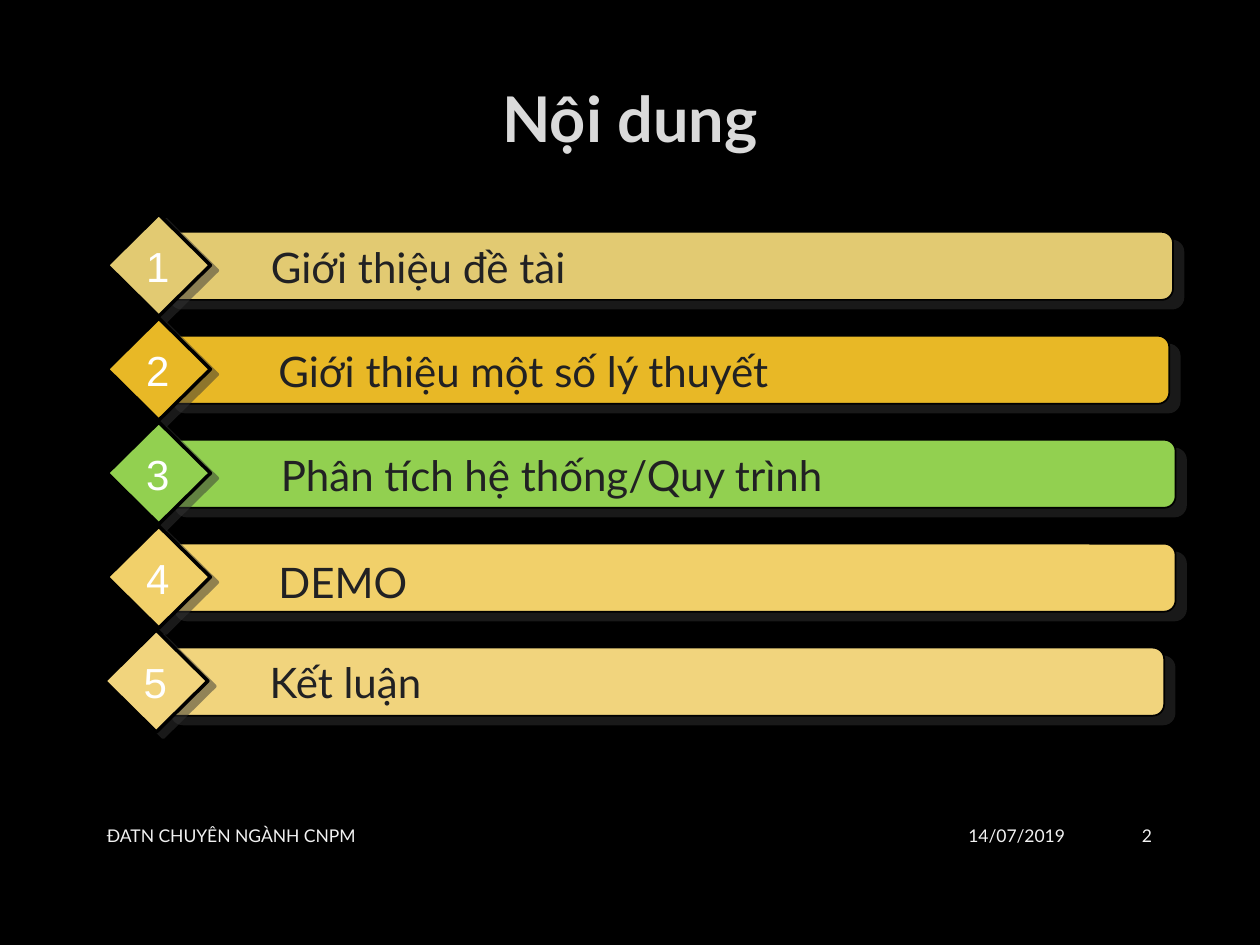
import pptx
import pptx.util
import pptx.dml.color
import pptx.enum.shapes
import pptx.enum.text
import pptx.oxml.ns
from lxml import etree

Inches = pptx.util.Inches
Pt = pptx.util.Pt
RGBColor = pptx.dml.color.RGBColor
MSO_SHAPE = pptx.enum.shapes.MSO_SHAPE
PP_ALIGN = pptx.enum.text.PP_ALIGN
MSO_ANCHOR = pptx.enum.text.MSO_ANCHOR
MSO_AUTO_SIZE = pptx.enum.text.MSO_AUTO_SIZE
qn = pptx.oxml.ns.qn

BLACK = RGBColor(0x00, 0x00, 0x00)
WHITE = RGBColor(0xFF, 0xFF, 0xFF)
TITLE = RGBColor(0xDA, 0xDA, 0xDA)
FOOTER = RGBColor(0xF2, 0xF2, 0xF2)
INK = RGBColor(0x21, 0x21, 0x23)
SHADOW = RGBColor(0x33, 0x33, 0x33)
SAND = RGBColor(0xE2, 0xCA, 0x72)
AMBER = RGBColor(0xE8, 0xB8, 0x26)
GREEN = RGBColor(0x92, 0xD0, 0x50)
GOLD = RGBColor(0xF1, 0xD0, 0x6A)
CREAM = RGBColor(0xF1, 0xD4, 0x7D)

FIRST_TOP = 1.84
PITCH = 0.825
ITEMS = [
    ("Giới thiệu đề tài", SAND, 1.27, 8.04, 0.85, 1.52, 0.04),
    ("Giới thiệu một số lý thuyết", AMBER, 1.30, 7.98, 0.85, 1.58, 0.04),
    ("Phân tích hệ thống/Quy trình", GREEN, 1.31, 8.02, 0.85, 1.60, 0.04),
    ("DEMO", GOLD, 1.31, 8.02, 0.85, 1.58, 0.06),
    ("Kết luận", CREAM, 1.28, 7.96, 0.83, 1.51, 0.03),
]


def set_text(tf, text, size, color, align, font="Lato", bold=False):
    p = tf.paragraphs[0]
    p.text = text
    p.alignment = align
    p.font.name = font
    p.font.size = Pt(size)
    p.font.bold = bold
    p.font.color.rgb = color
    return p


def add_shadow(sp, distance, angle):
    sp.shadow.inherit = False
    effects = sp._element.spPr.find(qn("a:effectLst"))
    shadow = etree.SubElement(effects, qn("a:outerShdw"), blurRad="0",
                              dist=str(Pt(distance)), dir=str(angle * 60000),
                              algn="ctr", rotWithShape="0")
    color = etree.SubElement(shadow, qn("a:srgbClr"), val=str(SHADOW))
    etree.SubElement(color, qn("a:alpha"), val="50000")


def add_block(shapes, kind, box, color, line_width, distance, angle):
    sp = shapes.add_shape(kind, *map(Inches, box))
    sp.fill.solid()
    sp.fill.fore_color.rgb = color
    sp.line.color.rgb = BLACK
    sp.line.width = Pt(line_width)
    add_shadow(sp, distance, angle)


def add_label(shapes, box, text, color, align, font="Lato", indent=0, wrap=True):
    tf = shapes.add_textbox(*map(Inches, box)).text_frame
    tf.word_wrap = wrap
    tf.auto_size = MSO_AUTO_SIZE.SHAPE_TO_FIT_TEXT
    tf.margin_left = tf.margin_right = Inches(0.07)
    tf.margin_top = tf.margin_bottom = Inches(0.04)
    p = set_text(tf, text, 24, color, align, font)
    if indent:
        p._p.get_or_add_pPr().set("marL", str(Inches(indent)))


def add_item(s, number, top, item):
    text, color, bar_left, bar_width, diamond_left, text_left, text_drop = item
    shapes = s.shapes.add_group_shape().shapes
    add_block(shapes, MSO_SHAPE.ROUNDED_RECTANGLE,
              (bar_left, top, bar_width, 0.54), color, 1, 7.8, 40)
    add_block(shapes, MSO_SHAPE.DIAMOND,
              (diamond_left, top - 0.14, 0.82, 0.81), color, 2, 5, 37)
    add_label(shapes, (text_left, top + text_drop, 7.7, 0.48), text, INK,
              PP_ALIGN.JUSTIFY, indent=0.56)
    add_label(shapes, (diamond_left + 0.24, top + 0.03, 0.32, 0.45), str(number),
              WHITE, PP_ALIGN.CENTER, font="Arial", wrap=False)


def add_title(s, text):
    sp = s.shapes.title
    sp.left, sp.top, sp.width, sp.height = map(Inches, (1.68, 0.62, 6.64, 0.62))
    sp.text_frame.vertical_anchor = MSO_ANCHOR.MIDDLE
    set_text(sp.text_frame, text, 36, TITLE, PP_ALIGN.CENTER, bold=True)


def add_footer(s, left, width, text, align):
    tf = s.shapes.add_textbox(Inches(left), Inches(6.43), Inches(width), Inches(0.4)).text_frame
    tf.word_wrap = True
    tf.vertical_anchor = MSO_ANCHOR.MIDDLE
    set_text(tf, text, 10, FOOTER, align)


def main():
    prs = pptx.Presentation()
    prs.slide_width = Inches(10)
    prs.slide_height = Inches(7.5)
    s = prs.slides.add_slide(prs.slide_layouts[5])
    s.background.fill.solid()
    s.background.fill.fore_color.rgb = BLACK
    add_title(s, "Nội dung")
    add_footer(s, 6.3, 2.25, "14/07/2019", PP_ALIGN.RIGHT)
    add_footer(s, 0.75, 5.47, "ĐATN CHUYÊN NGÀNH CNPM", PP_ALIGN.LEFT)
    add_footer(s, 8.62, 0.62, "2", PP_ALIGN.RIGHT)
    for i, item in enumerate(ITEMS):
        add_item(s, i + 1, FIRST_TOP + i * PITCH, item)
    prs.save("out.pptx")


if __name__ == "__main__":
    main()
